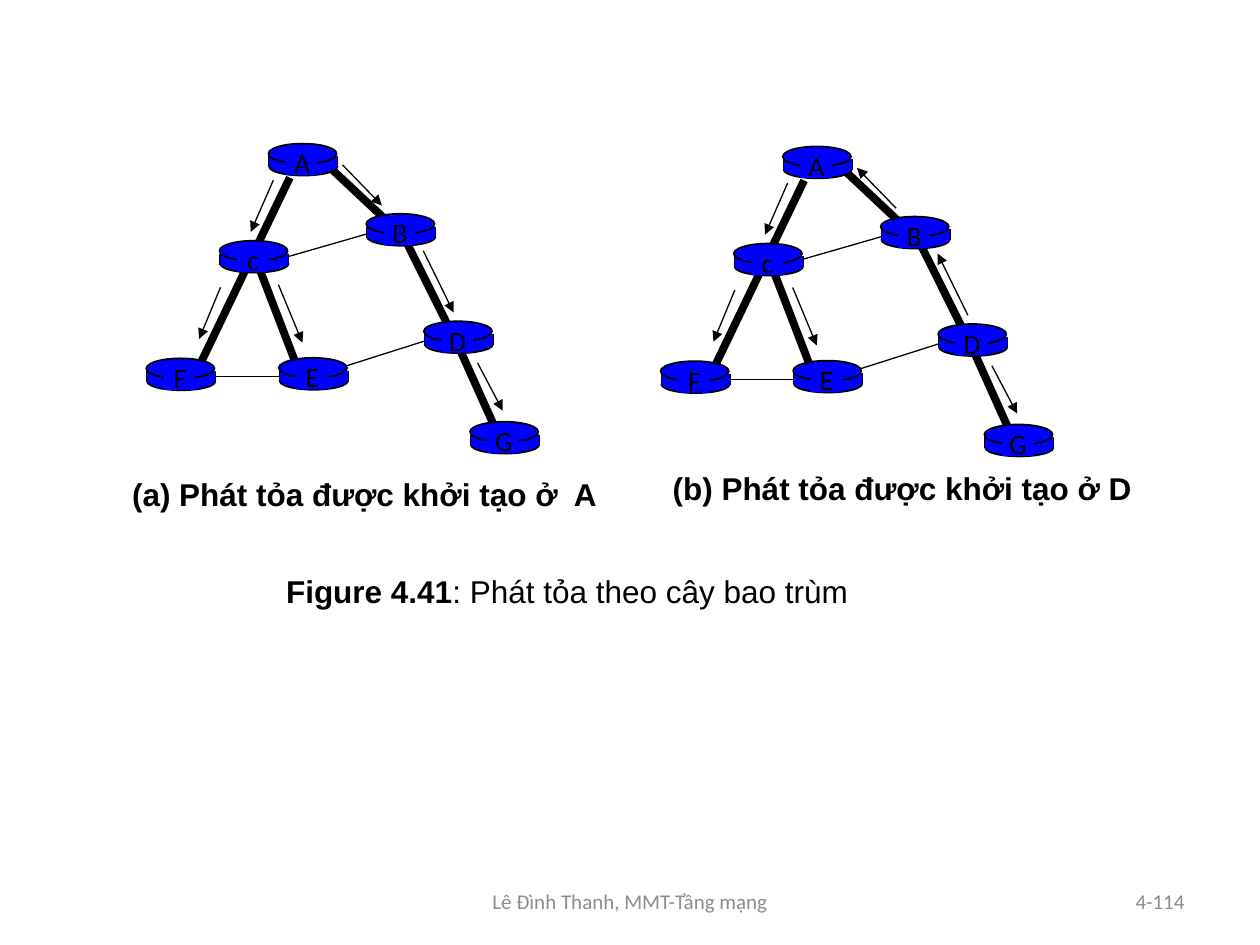
from dataclasses import dataclass

from lxml.etree import SubElement
from pptx import Presentation
from pptx.dml.color import RGBColor
from pptx.enum.shapes import MSO_CONNECTOR, MSO_SHAPE
from pptx.enum.text import MSO_ANCHOR, MSO_AUTO_SIZE, PP_ALIGN
from pptx.oxml.ns import qn
from pptx.util import Pt


@dataclass(frozen=True)
class Theme:
    ink: RGBColor = RGBColor(0, 0, 0)
    blue: RGBColor = RGBColor(0, 0, 255)
    gray: RGBColor = RGBColor(0x8C, 0x8C, 0x8C)
    sans: str = "Arial"
    body: str = "Calibri"
    large: float = 18
    label: float = 16
    small: float = 12
    thick: float = 4.5
    thin: float = 0.75
    rim: float = 1


THEME = Theme()

NODES = {
    "A": (153.4, 82.1),
    "B": (209.3, 122.2),
    "G": (268.6, 241),
    "D": (242.2, 183.6),
    "E": (159.3, 204.5),
    "c": (125.4, 137.6),
    "F": (83.6, 204.8),
}
TREE = [
    (229.7, 133.2, 256.3, 186.5),
    (257.8, 188.6, 284.4, 247.8),
    (169.2, 208.1, 147.6, 151.9),
    (189.4, 96.5, 223.9, 128.9),
    (165.6, 101.5, 113, 211),
]
LINKS = [
    (244.1, 194.4, 196.6, 209.5),
    (171.4, 215.3, 113.8, 215.3),
    (161.3, 147.6, 213.8, 132.5),
]
FLOWS = {
    "AC": (156.2, 103, 143.3, 132.5),
    "CF": (126, 164.2, 113.8, 193.7),
    "AB": (195.8, 94.3, 218.2, 117.4),
    "BD": (241.9, 143.3, 259.2, 178.6),
    "DG": (272.9, 207.4, 287.3, 234.7),
    "CE": (159.1, 162.7, 172.8, 195.8),
}


def add_text(shapes, runs, x, y, w, h, size=THEME.large, font=THEME.sans,
             color=THEME.ink, align=PP_ALIGN.LEFT, anchor=MSO_ANCHOR.TOP,
             wrap=False):
    frame = shapes.add_textbox(Pt(x), Pt(y), Pt(w), Pt(h)).text_frame
    frame.word_wrap = wrap
    frame.auto_size = MSO_AUTO_SIZE.NONE if wrap else MSO_AUTO_SIZE.SHAPE_TO_FIT_TEXT
    frame.vertical_anchor = anchor
    para = frame.paragraphs[0]
    para.alignment = align
    for words, bold in runs:
        run = para.add_run()
        run.text = words
        run.font.size = Pt(size)
        run.font.name = font
        run.font.bold = bold
        run.font.color.rgb = color


def add_line(shapes, x1, y1, x2, y2, width, arrow=None):
    line = shapes.add_connector(
        MSO_CONNECTOR.STRAIGHT, Pt(x1), Pt(y1), Pt(x2), Pt(y2))
    line.line.width = Pt(width)
    line.line.color.rgb = THEME.ink
    props = line._element.spPr
    if arrow:
        SubElement(props.find(qn("a:ln")), qn(f"a:{arrow}"), type="triangle")
    SubElement(props, qn("a:effectLst"))


def add_solid(shapes, kind, x, y, w, h, rim=False):
    shape = shapes.add_shape(kind, Pt(x), Pt(y), Pt(w), Pt(h))
    shape.shadow.inherit = False
    shape.fill.solid()
    shape.fill.fore_color.rgb = THEME.blue
    if rim:
        shape.line.color.rgb = THEME.ink
        shape.line.width = Pt(THEME.rim)
    else:
        shape.line.fill.background()


def add_router(slide, name, x, y):
    shapes = slide.shapes.add_group_shape().shapes
    wide, left, top, tall = 39, x + 0.5, y + 7.3, 6.3
    add_solid(shapes, MSO_SHAPE.OVAL, left, y + 8.2, wide, 10, rim=True)
    for side in (left, left + wide):
        add_line(shapes, side, top, side, top + tall, THEME.rim)
    add_solid(shapes, MSO_SHAPE.RECTANGLE, left, top, wide, tall)
    add_solid(shapes, MSO_SHAPE.OVAL, x, y, wide, 11.5, rim=True)
    add_solid(shapes, MSO_SHAPE.RECTANGLE, x + 10, y + 1.5, 18, 16.5)
    add_text(shapes, [(name, False)], x + 6.5, y - 2.3, 25.5, 26.6,
             size=THEME.label, font=THEME.body, align=PP_ALIGN.CENTER)


def add_graph(slide, dx, dy, upward=()):
    def shift(ends):
        x1, y1, x2, y2 = ends
        return x1 + dx, y1 + dy, x2 + dx, y2 + dy

    for group, width in ((TREE, THEME.thick), (LINKS, THEME.thin)):
        for ends in group:
            add_line(slide.shapes, *shift(ends), width)
    for name, (x, y) in NODES.items():
        add_router(slide, name, x + dx, y + dy)
    for name, ends in FLOWS.items():
        arrow = "headEnd" if name in upward else "tailEnd"
        add_line(slide.shapes, *shift(ends), THEME.thin, arrow)


def main():
    deck = Presentation()
    deck.slide_width, deck.slide_height = Pt(720), Pt(540)
    slide = deck.slides.add_slide(deck.slide_layouts[6])
    shapes = slide.shapes

    foot = dict(size=THEME.small, font=THEME.body, color=THEME.gray,
                anchor=MSO_ANCHOR.MIDDLE, wrap=True)
    add_text(shapes, [("Lê Đình Thanh, MMT-Tầng mạng", False)],
             246, 500.5, 228, 28.75, align=PP_ALIGN.CENTER, **foot)
    add_text(shapes, [("4-114", False)],
             516, 500.5, 168, 28.75, align=PP_ALIGN.RIGHT, **foot)
    add_text(shapes,
             [("Figure 4.41", True), (": Phát tỏa theo cây bao trùm ", False)],
             149.8, 323.3, 353.5, 29, align=PP_ALIGN.CENTER)

    add_graph(slide, 0, 0)
    add_graph(slide, 293.9, 1.6, upward=("AB", "BD"))
    add_text(shapes, [("(a) Phát tỏa được khởi tạo ở  A", True)],
             68.4, 267.8, 283, 29)
    add_text(shapes, [("(b) Phát tỏa được khởi tạo ở D", True)],
             377.3, 264.2, 279.4, 29)
    deck.save("out.pptx")


if __name__ == "__main__":
    main()
